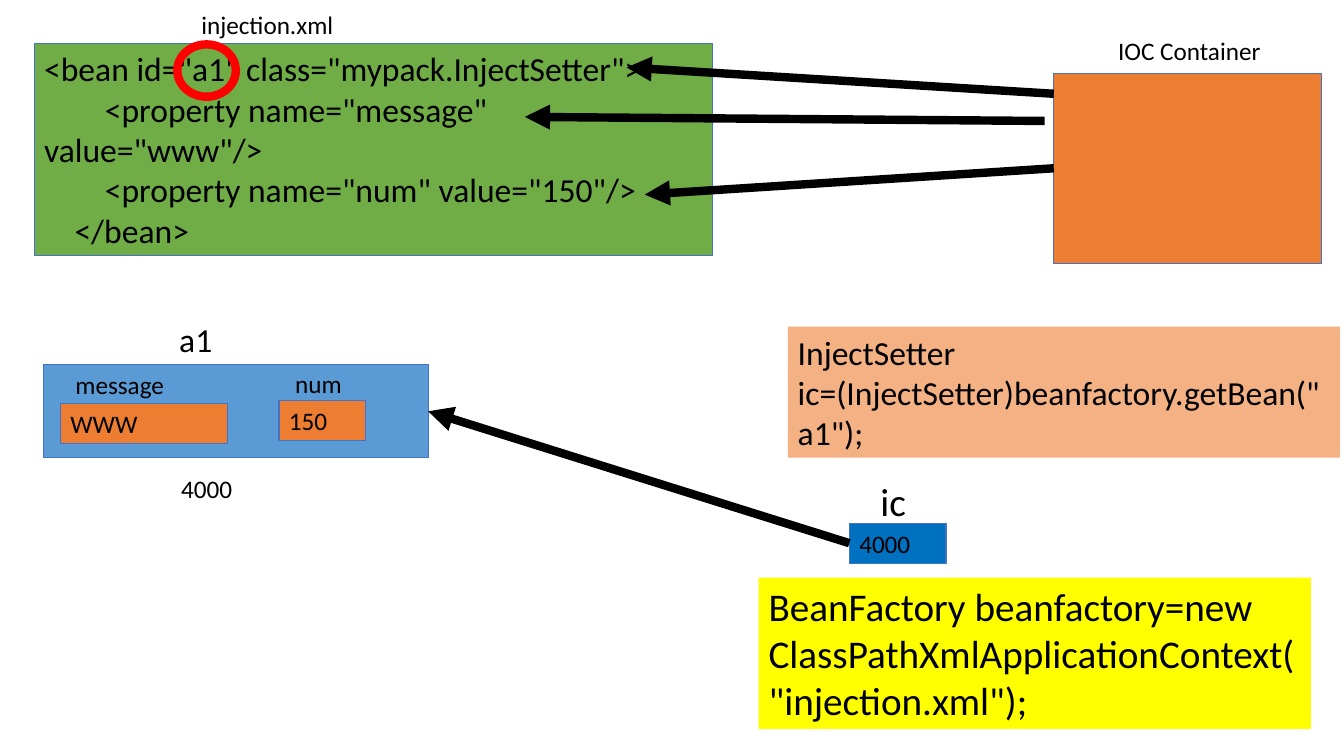
"""Draw how a bean is injected from XML and fetched from its container."""
from pptx import Presentation
from pptx.dml.color import RGBColor
from pptx.enum import shapes, text
from pptx.oxml import ns, xmlchemy as xml
from pptx.util import Pt

BLACK = RGBColor(0x00, 0x00, 0x00)
RED = RGBColor(0xFF, 0x00, 0x00)
GREEN = RGBColor(0x70, 0xAD, 0x47)
ORANGE = RGBColor(0xED, 0x7D, 0x31)
PEACH = RGBColor(0xF4, 0xB1, 0x83)
YELLOW = RGBColor(0xFF, 0xFF, 0x00)
SKY = RGBColor(0x5B, 0x9B, 0xD5)
BLUE = RGBColor(0x00, 0x70, 0xC0)
EDGE = RGBColor(0x44, 0x72, 0xC4)
FONT = "Calibri"
THICK = 6
STEP = 21.7


def write(shape, lines, size):
    """Fill a shape with lines given as (indent level, words)."""
    frame = shape.text_frame
    frame.word_wrap = True
    frame.vertical_anchor = text.MSO_ANCHOR.TOP
    for i, (level, words) in enumerate(lines):
        para = frame.add_paragraph() if i else frame.paragraphs[0]
        para.alignment = text.PP_ALIGN.LEFT
        if level:
            para._p.get_or_add_pPr().set("indent", str(Pt(level * STEP)))
        run = para.add_run()
        run.text = words
        run.font.name = FONT
        run.font.size = Pt(size)
        run.font.color.rgb = BLACK


def label(slide, x, y, w, h, words, size=18):
    """Add a caption without fill."""
    write(slide.shapes.add_textbox(Pt(x), Pt(y), Pt(w), Pt(h)),
          [(0, words)], size)


def box(slide, x, y, w, h, fill, lines=(), size=18, edge=EDGE):
    """Add a filled rectangle, with an outline if edge is given."""
    rect = slide.shapes.add_shape(
        shapes.MSO_SHAPE.RECTANGLE, Pt(x), Pt(y), Pt(w), Pt(h))
    rect.shadow.inherit = False
    rect.fill.solid()
    rect.fill.fore_color.rgb = fill
    if edge is None:
        rect.line.fill.background()
    else:
        rect.line.color.rgb = edge
        rect.line.width = Pt(0.75)
    write(rect, lines, size)


def ring(slide, x, y, w, h):
    """Add a thick red ring."""
    oval = slide.shapes.add_shape(
        shapes.MSO_SHAPE.OVAL, Pt(x), Pt(y), Pt(w), Pt(h))
    oval.shadow.inherit = False
    oval.fill.background()
    oval.line.color.rgb = RED
    oval.line.width = Pt(THICK)


def arrow(slide, x1, y1, x2, y2):
    """Add a thick black arrow that points at (x2, y2)."""
    link = slide.shapes.add_connector(
        shapes.MSO_CONNECTOR.STRAIGHT, Pt(x1), Pt(y1), Pt(x2), Pt(y2))
    link.line.color.rgb = BLACK
    link.line.width = Pt(THICK)
    head = xml.OxmlElement("a:tailEnd")
    head.set("type", "triangle")
    props = link._element.spPr
    props.find(ns.qn("a:ln")).append(head)
    props.append(xml.OxmlElement("a:effectLst"))


def main():
    """Build the slide and save it."""
    deck = Presentation()
    deck.slide_width, deck.slide_height = Pt(960.5), Pt(540)
    slide = deck.slides.add_slide(deck.slide_layouts[6])

    box(slide, 24.5, 31, 484.6, 151.5, GREEN, [
        (0, '<bean id="a1" class="mypack.InjectSetter">'),
        (2, '<property name="message" value="www"/>'),
        (2, '<property name="num" value="150"/>'),
        (1, '</bean>')], 24)
    label(slide, 136.8, 3, 115, 29, "injection.xml")
    box(slide, 753.1, 52.5, 191.5, 136, ORANGE)
    label(slide, 792, 21.6, 127.5, 29, "IOC Container")

    box(slide, 31, 260.6, 275, 66.2, SKY)
    label(slide, 121, 224, 41, 36, "a1", 24)
    box(slide, 43.2, 288, 119.5, 29, ORANGE, [(0, "WWW")])
    box(slide, 542.2, 412.6, 394.6, 108, YELLOW, [
        (0, 'BeanFactory beanfactory=new '
            'ClassPathXmlApplicationContext("injection.xml");')], 28, None)
    box(slide, 563, 233.3, 394.6, 93.6, PEACH, [
        (0, 'InjectSetter ic=(InjectSetter)beanfactory.getBean("a1");')],
        24, None)
    label(slide, 122.4, 334.8, 54.7, 29, "4000")
    box(slide, 607, 373.7, 69.1, 29, BLUE, [(0, "4000")])
    label(slide, 622, 337.7, 35.3, 41, "ic", 28)
    label(slide, 46.8, 260, 92.2, 29, "message")

    for ends in ((607, 388, 306, 293.8), (753.1, 120.2, 460.8, 139),
                 (753.1, 67, 447.8, 48.2), (746.6, 86.4, 375.1, 83.5)):
        arrow(slide, *ends)

    box(slide, 199.4, 285.8, 62, 29, ORANGE, [(0, "150")])
    label(slide, 203.8, 259.2, 54, 29, "num")
    ring(slide, 126.7, 31.7, 41.8, 37.4)
    deck.save("out.pptx")


if __name__ == "__main__":
    main()
